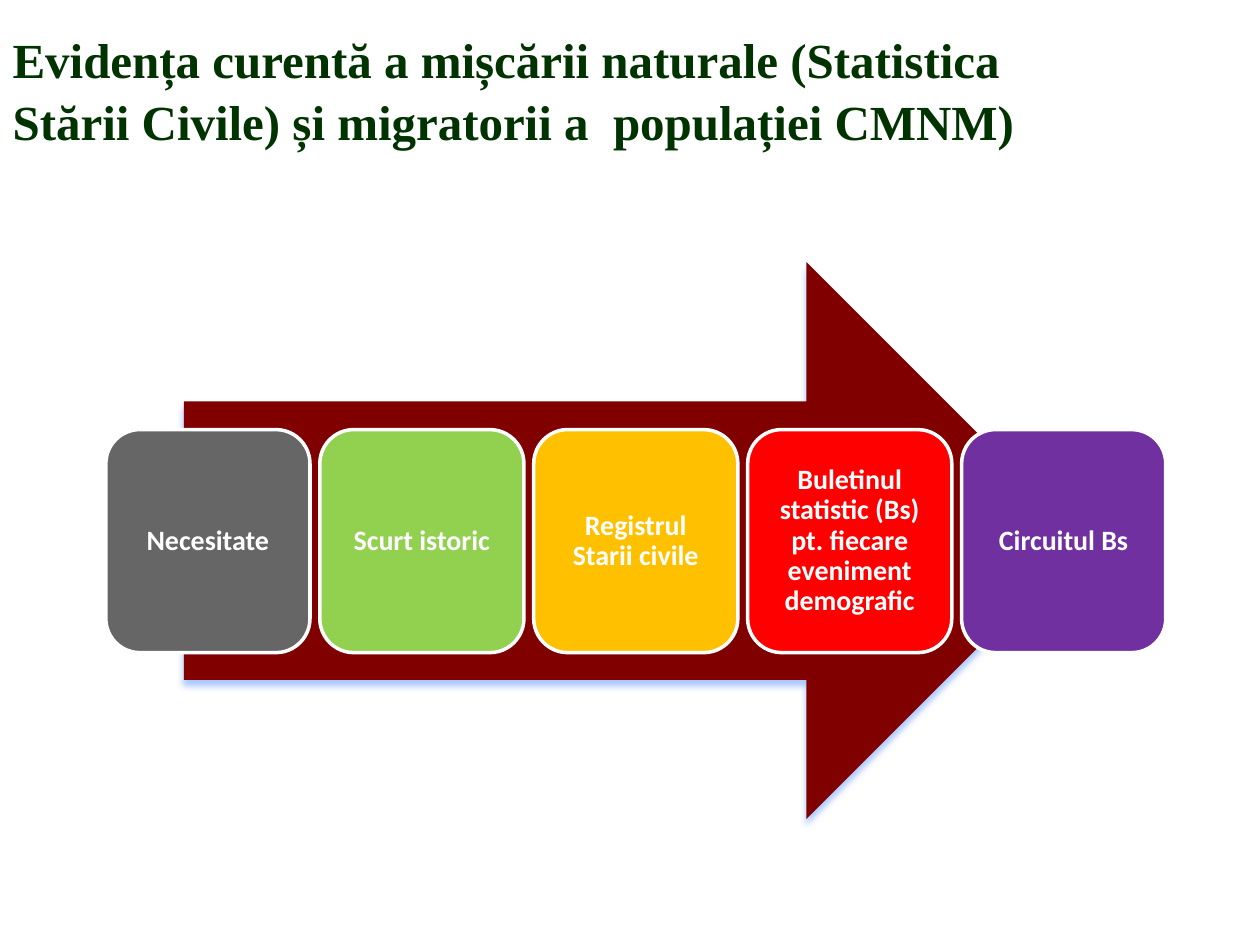
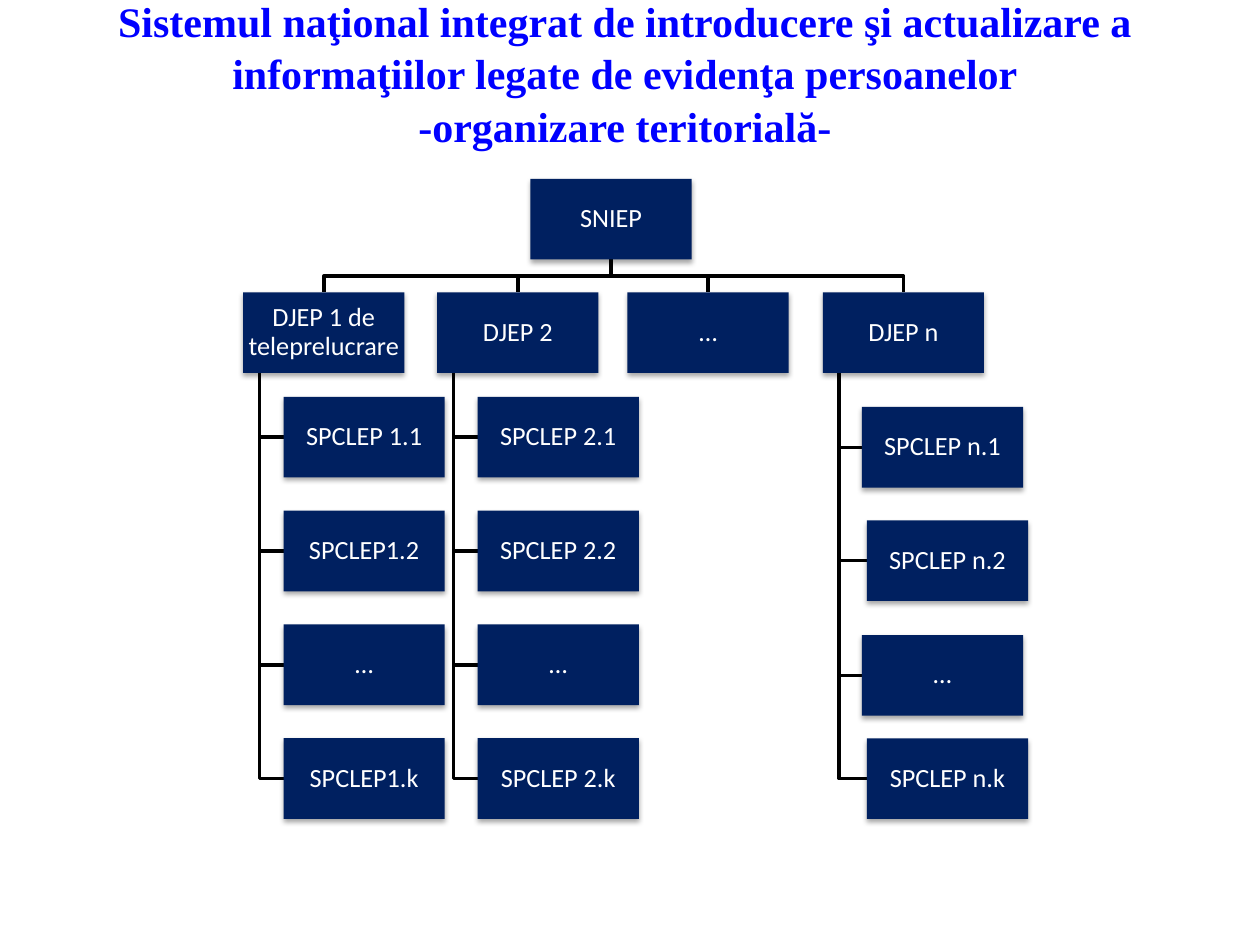
from dataclasses import dataclass

import lxml.etree
import pptx
import pptx.dml.color
import pptx.enum.shapes
import pptx.enum.text
import pptx.oxml.ns
import pptx.util

COLS, ROWS = 100, 75  # the grid that all lengths are counted in
FORMS = pptx.enum.shapes.MSO_SHAPE
ALIGN = pptx.enum.text.PP_ALIGN
ANCHOR = pptx.enum.text.MSO_ANCHOR


@dataclass(frozen=True)
class Theme:
    head_font: str = "Times New Roman"
    body_font: str = "Calibri"
    white: str = "FFFFFF"
    black: str = "000000"
    green: str = "003300"
    blue: str = "0000FF"
    navy: str = "002060"
    maroon: str = "800000"
    steps: tuple = ("666666", "92D050", "FFC000", "FF0000", "7030A0")
    head_size: int = 28
    long_size: int = 24
    step_size: int = 16
    node_size: int = 15
    line: int = 2
    # colour, alpha percent, blur and distance in points
    glow: tuple = ("ACC8FF", 100, 4, 4)
    shade: tuple = ("000000", 35, 3.1, 1.8)


def paint(text):
    return pptx.dml.color.RGBColor.from_string(text)


class Deck:
    """Holds the theme and the slide being filled."""

    def __init__(self, theme):
        self.theme = theme
        self.file = pptx.Presentation()
        self.file.slide_width = pptx.util.Inches(10)
        self.file.slide_height = pptx.util.Inches(7.5)
        self.slide = None

    def across(self, cols):
        return round(self.file.slide_width * cols / COLS)

    def down(self, rows):
        return round(self.file.slide_height * rows / ROWS)

    def place(self, left, top, width, height):
        return (self.across(left), self.down(top),
                self.across(width), self.down(height))

    def letter(self, frame, text, font, size, color, bold, align, space):
        """Set the text of a frame and format it."""
        frame.text = text
        frame.word_wrap = True
        frame.auto_size = pptx.enum.text.MSO_AUTO_SIZE.NONE
        for para in frame.paragraphs:
            para.alignment = align
            para.line_spacing = space
            for run in para.runs:
                run.font.name = font
                run.font.size = pptx.util.Pt(size)
                run.font.bold = bold
                run.font.color.rgb = paint(color)

    def start(self, text, box, size, color, align):
        """Add a slide and set its title."""
        self.slide = self.file.slides.add_slide(self.file.slide_layouts[5])
        title = self.slide.shapes.title
        title.left, title.top, title.width, title.height = self.place(*box)
        self.letter(title.text_frame, text, self.theme.head_font, size, color,
                    True, align, 1.05)
        title.text_frame.vertical_anchor = ANCHOR.BOTTOM

    def shape(self, form, box, fill, edge=None, shadow=None):
        item = self.slide.shapes.add_shape(form, *self.place(*box))
        item.shadow.inherit = False
        item.fill.solid()
        item.fill.fore_color.rgb = paint(fill)
        if edge:
            item.line.color.rgb = paint(edge)
            item.line.width = pptx.util.Pt(self.theme.line)
        else:
            item.line.fill.background()
        if shadow:
            self.cast(item, *shadow)
        return item

    def cast(self, item, color, alpha, blur, dist):
        """Give the shape a shadow that falls straight down."""
        name = pptx.oxml.ns.qn
        sub = lxml.etree.SubElement
        effects = item.element.spPr.find(name("a:effectLst"))
        outer = sub(effects, name("a:outerShdw"), rotWithShape="0",
                    blurRad=str(pptx.util.Pt(blur)),
                    dist=str(pptx.util.Pt(dist)), dir="5400000")
        tint = sub(outer, name("a:srgbClr"), val=color)
        sub(tint, name("a:alpha"), val=str(alpha * 1000))

    def label(self, item, text, size, bold, inset):
        frame = item.text_frame
        self.letter(frame, text, self.theme.body_font, size, self.theme.white,
                    bold, ALIGN.CENTER, 0.9)
        frame.vertical_anchor = ANCHOR.MIDDLE
        frame.margin_left = frame.margin_right = self.across(inset)
        frame.margin_top = frame.margin_bottom = self.down(inset)

    def step(self, text, box, fill):
        item = self.shape(FORMS.ROUNDED_RECTANGLE, box, fill,
                          self.theme.white)
        self.label(item, text, self.theme.step_size, True, 0.7)

    def node(self, text, box):
        item = self.shape(FORMS.RECTANGLE, box, self.theme.navy,
                          shadow=self.theme.shade)
        self.label(item, text, self.theme.node_size, False, 0.1)

    def bend(self, *spots):
        """Draw an open line with corners through the spots."""
        first, *rest = [(self.across(x), self.down(y)) for x, y in spots]
        pen = self.slide.shapes.build_freeform(*first)
        pen.add_line_segments(rest, close=False)
        item = pen.convert_to_shape()
        item.shadow.inherit = False
        item.fill.background()
        item.line.color.rgb = paint(self.theme.black)
        item.line.width = pptx.util.Pt(self.theme.line)


def draw_steps(deck):
    theme = deck.theme
    deck.start("Evidența curentă a mișcării naturale (Statistica Stării "
               "Civile) și migratorii a  populației CMNM)",
               (0, 0, 84.2, 12.4), theme.head_size, theme.green, ALIGN.LEFT)
    deck.shape(FORMS.RIGHT_ARROW, (14.6, 20.8, 71.5, 44.2), theme.maroon,
               shadow=theme.glow)
    names = ("Necesitate", "Scurt istoric", "Registrul Starii civile",
             "Buletinul statistic (Bs) pt. fiecare eveniment demografic",
             "Circuitul Bs")
    left, pitch = 8.4, 16.98
    for i, (name, fill) in enumerate(zip(names, theme.steps)):
        deck.step(name, (left + i * pitch, 34.1, 16.2, 17.7), fill)


def draw_tree(deck):
    theme = deck.theme
    deck.start("Sistemul naţional integrat de introducere şi actualizare a "
               "informaţiilor legate de evidenţa persoanelor\v"
               "-organizare teritorială-",
               (2.5, 0.8, 94.2, 11.7), theme.long_size, theme.blue,
               ALIGN.CENTER)
    wide, high = 12.8, 6.4
    root_x, root_y, head_y = 42.1, 14.2, 23.2
    trunk = 1.3  # from a head's left side to the line below it
    even = [(3.2, 31.5 + 9.03 * i) for i in range(4)]
    loose = [(3.1, 32.3), (3.5, 41.3), (3.1, 50.4), (3.5, 58.6)]
    heads = (
        ("DJEP 1 de teleprelucrare", 19.3, even,
         ("SPCLEP 1.1", "SPCLEP1.2", "…", "SPCLEP1.k")),
        ("DJEP 2", 34.7, even,
         ("SPCLEP 2.1", "SPCLEP 2.2", "…", "SPCLEP 2.k")),
        ("…", 49.8, (), ()),
        ("DJEP n", 65.3, loose,
         ("SPCLEP n.1", "SPCLEP n.2", "…", "SPCLEP n.k")),
    )

    mid, base = root_x + wide / 2, root_y + high
    bus = (base + head_y) / 2
    for _, left, spots, _ in heads:
        peak = left + wide / 2
        deck.bend((mid, base), (mid, bus), (peak, bus), (peak, head_y))
        stem = left + trunk
        for shift, top in spots:
            level = top + high / 2
            deck.bend((stem, head_y + high), (stem, level),
                      (left + shift, level))

    deck.node("SNIEP", (root_x, root_y, wide, high))
    for name, left, spots, leaves in heads:
        deck.node(name, (left, head_y, wide, high))
        for leaf, (shift, top) in zip(leaves, spots):
            deck.node(leaf, (left + shift, top, wide, high))


def main():
    deck = Deck(Theme())
    draw_steps(deck)
    draw_tree(deck)
    deck.file.save("out.pptx")


if __name__ == "__main__":
    main()
